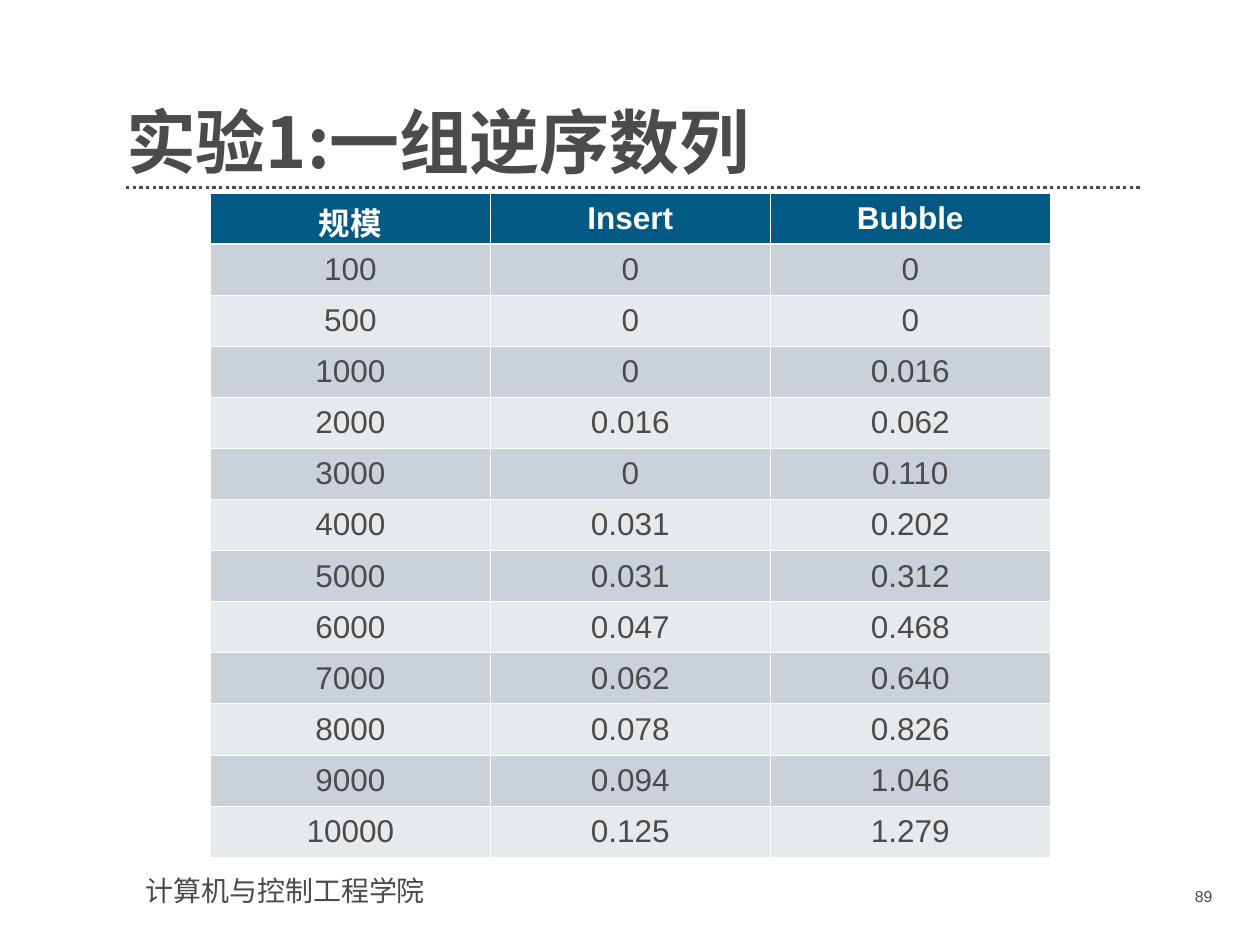
from lxml import etree
from pptx import Presentation
from pptx.dml.color import RGBColor
from pptx.enum.dml import MSO_LINE
from pptx.enum.text import MSO_ANCHOR, MSO_AUTO_SIZE, PP_ALIGN
from pptx.enum.shapes import MSO_CONNECTOR
from pptx.oxml.ns import qn
from pptx.util import Pt

LEFT, CENTER, RIGHT = PP_ALIGN.LEFT, PP_ALIGN.CENTER, PP_ALIGN.RIGHT
TOP, MIDDLE, BOTTOM = MSO_ANCHOR.TOP, MSO_ANCHOR.MIDDLE, MSO_ANCHOR.BOTTOM
NO_AUTOFIT = MSO_AUTO_SIZE.NONE
STRAIGHT = MSO_CONNECTOR.STRAIGHT
ROUND_DOT = MSO_LINE.ROUND_DOT

# Content
TITLE = "实验1:一组逆序数列"
SCHOOL = "计算机与控制工程学院"
PAGE_NUMBER = "89"
HEADERS = ("规模", "Insert", "Bubble")
TIMINGS = [
    ("100", "0", "0"),
    ("500", "0", "0"),
    ("1000", "0", "0.016"),
    ("2000", "0.016", "0.062"),
    ("3000", "0", "0.110"),
    ("4000", "0.031", "0.202"),
    ("5000", "0.031", "0.312"),
    ("6000", "0.047", "0.468"),
    ("7000", "0.062", "0.640"),
    ("8000", "0.078", "0.826"),
    ("9000", "0.094", "1.046"),
    ("10000", "0.125", "1.279"),
]

# Theme
THEME = {
    "ink": "4B4B4B", "white": "FFFFFF", "header": "005A84",
    "bands": ("CBD1D9", "E7EAED"),
    "latin": "Arial", "chinese": "Noto Sans CJK SC",
    "title": 40, "school": 16, "page": 9, "cell": 18,
    "rule": 1.9, "border": 0.45, "header_border": 1.47,
}

# Layout, in points
TITLE_BOX = (72, 39.6, 580.3, 65.5)
SCHOOL_BOX = (76.3, 495.4, 184.3, 26.6)
PAGE_BOX = (628.6, 503.3, 71.3, 20.9)
RULE_Y = 107.3
TABLE_LEFT, TABLE_TOP, COLUMN_WIDTH, ROW_HEIGHT = 120.2, 110.2, 160, 29.2


def color(name):
    return RGBColor.from_string(THEME.get(name, name))


def write(frame, text, size, align=LEFT, ink="ink", latin="latin", bold=False):
    paragraph = frame.paragraphs[0]
    paragraph.alignment = align
    run = paragraph.add_run()
    run.text = text
    font_format = {"size": Pt(THEME[size]), "name": THEME[latin], "bold": bold}
    for attribute, value in font_format.items():
        setattr(run.font, attribute, value)
    run.font.color.rgb = color(ink)
    east_asian = etree.SubElement(run.font._element, qn("a:ea"))
    east_asian.set("typeface", THEME["chinese"])
    return paragraph


def place(shape, box):
    for attribute, value in zip(("left", "top", "width", "height"), box):
        setattr(shape, attribute, Pt(value))


def add_label(slide, box, text, size, align):
    label = slide.shapes.add_textbox(*map(Pt, box))
    label.text_frame.word_wrap = True
    write(label.text_frame, text, size, align)


def add_borders(cell, widths):
    properties = cell._tc.get_or_add_tcPr()
    for side, width in widths.items():
        border = etree.SubElement(properties, qn(f"a:ln{side}"), w=str(Pt(width)))
        fill = etree.SubElement(border, qn("a:solidFill"))
        etree.SubElement(fill, qn("a:srgbClr"), val=THEME["white"])


def add_title(slide):
    title = slide.shapes.title
    place(title, TITLE_BOX)
    frame_format = {
        "margin_left": 0, "margin_top": 0, "margin_right": 0, "margin_bottom": 0,
        "vertical_anchor": BOTTOM, "word_wrap": True, "auto_size": NO_AUTOFIT,
    }
    for attribute, value in frame_format.items():
        setattr(title.text_frame, attribute, value)
    paragraph = write(title.text_frame, TITLE, "title", latin="chinese", bold=True)
    paragraph.line_spacing = 0.9


def add_rule(slide):
    left, _, width, _ = TITLE_BOX
    rule = slide.shapes.add_connector(
        STRAIGHT, Pt(left), Pt(RULE_Y), Pt(left + width), Pt(RULE_Y))
    rule.line.color.rgb = color("ink")
    rule.line.width = Pt(THEME["rule"])
    rule.line.dash_style = ROUND_DOT
    etree.SubElement(rule._element.spPr, qn("a:effectLst"))


def add_timings(slide):
    rows = [HEADERS, *TIMINGS]
    table = slide.shapes.add_table(
        len(rows), len(HEADERS), Pt(TABLE_LEFT), Pt(TABLE_TOP),
        Pt(COLUMN_WIDTH * len(HEADERS)), Pt(ROW_HEIGHT * len(rows))).table
    for column in table.columns:
        column.width = Pt(COLUMN_WIDTH)
    for r, values in enumerate(rows):
        table.rows[r].height = Pt(ROW_HEIGHT)
        is_header = r == 0
        background = "header" if is_header else THEME["bands"][(r - 1) % 2]
        widths = dict.fromkeys("LRTB", THEME["border"])
        if r < 2:  # thicker line between header and first row
            widths["B" if is_header else "T"] = THEME["header_border"]
        for c, value in enumerate(values):
            cell = table.cell(r, c)
            cell.vertical_anchor = MIDDLE
            add_borders(cell, widths)
            cell.fill.solid()
            cell.fill.fore_color.rgb = color(background)
            write(cell.text_frame, value, "cell", CENTER,
                  ink="white" if is_header else "ink", bold=is_header)


def main():
    deck = Presentation()
    deck.slide_width, deck.slide_height = Pt(720), Pt(540)
    slide = deck.slides.add_slide(deck.slide_layouts[5])
    add_rule(slide)
    add_label(slide, SCHOOL_BOX, SCHOOL, "school", LEFT)
    add_title(slide)
    add_label(slide, PAGE_BOX, PAGE_NUMBER, "page", RIGHT)
    add_timings(slide)
    deck.save("out.pptx")


if __name__ == "__main__":
    main()
